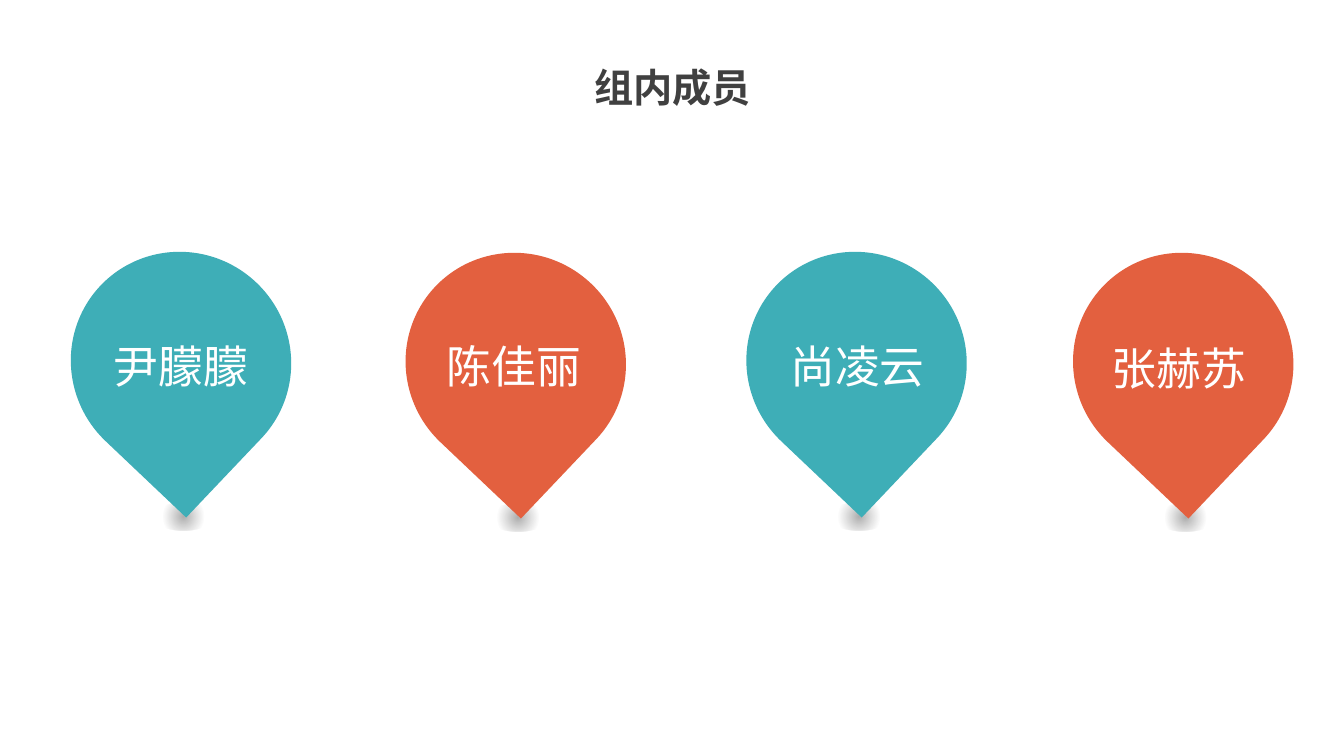
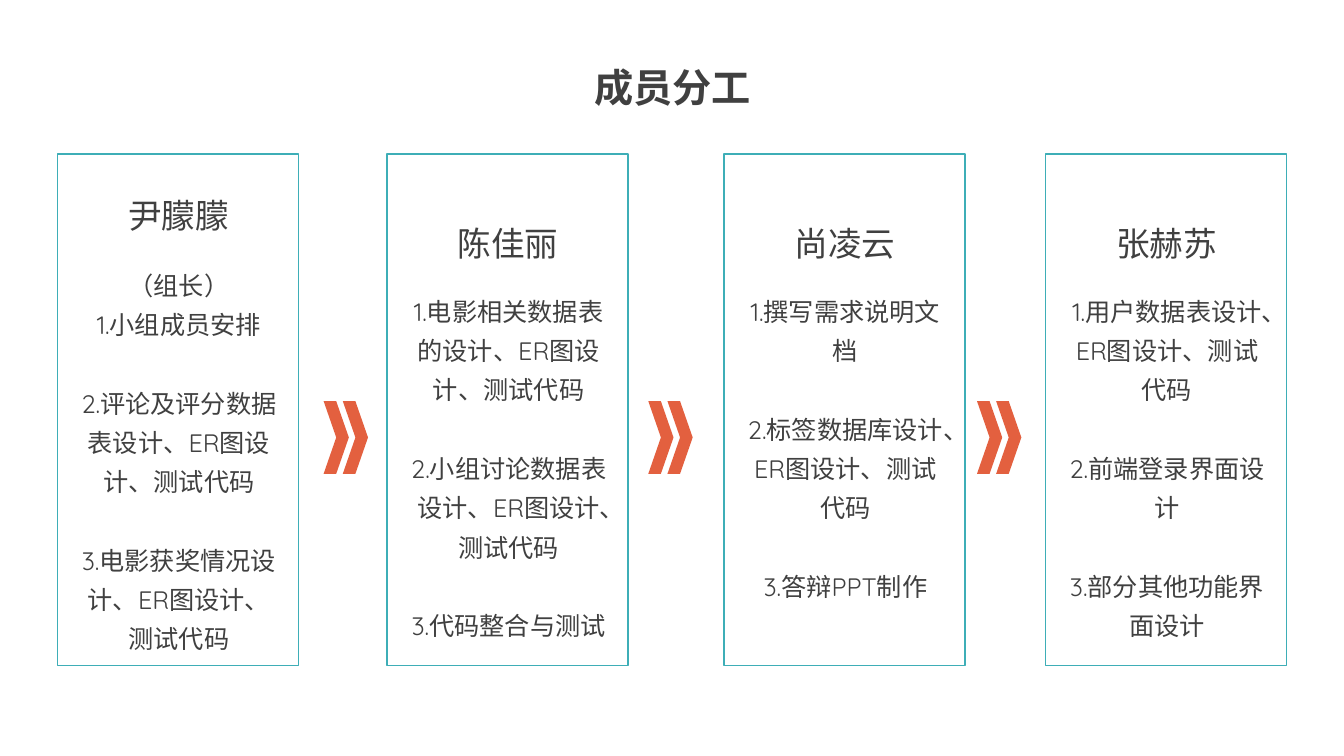
from dataclasses import dataclass

from lxml import etree
from pptx import Presentation
from pptx import util as u
from pptx.dml.color import RGBColor
from pptx.enum import lang, shapes, text
from pptx.oxml import parse_xml
from pptx.oxml.ns import nsdecls, qn

PX = 9144  # 100 px to the inch


@dataclass(frozen=True)
class Theme:
    font: str = "Quicksand"
    teal: str = "3EAEB7"
    orange: str = "E3603F"
    ink: str = "404040"
    white: str = "FFFFFF"
    title: int = 28
    pin: int = 32
    name: int = 24
    body: int = 18
    item_gap: int = 28


T = Theme()
SHADOW_FILL = f"""<a:gradFill {nsdecls("a")}><a:gsLst>
<a:gs pos="0"><a:srgbClr val="404040"><a:alpha val="43000"/></a:srgbClr></a:gs>
<a:gs pos="63000"><a:srgbClr val="595959"><a:alpha val="0"/></a:srgbClr></a:gs>
</a:gsLst><a:path path="circle">
<a:fillToRect l="50000" t="50000" r="50000" b="50000"/></a:path></a:gradFill>"""


def add_shape(s, kind, x, y, w, h, fill=None, line=None):
    sp = s.shapes.add_shape(kind, x * PX, y * PX, w * PX, h * PX)
    sp.shadow.inherit = False
    if fill:
        sp.fill.solid()
        sp.fill.fore_color.rgb = RGBColor.from_string(fill)
    else:
        sp.fill.background()
    if line:
        sp.line.color.rgb = RGBColor.from_string(line)
        sp.line.width = u.Pt(1)
    else:
        sp.line.fill.background()
    return sp


def put_text(sp, lines, size, color=T.ink, align=text.PP_ALIGN.CENTER, bold=False):
    """Fill a text box or placeholder and return its paragraphs."""
    tf = sp.text_frame
    tf.text = "\n".join(lines)
    tf.word_wrap = True
    tf.auto_size = text.MSO_AUTO_SIZE.NONE
    tf.vertical_anchor = text.MSO_ANCHOR.TOP
    for p in tf.paragraphs:
        p.alignment = align
        for r in p.runs:
            r.font.name = T.font
            r.font.size = u.Pt(size)
            r.font.bold = bold
            r.font.color.rgb = RGBColor.from_string(color)
            r.font.language_id = lang.MSO_LANGUAGE_ID.SIMPLIFIED_CHINESE
            etree.SubElement(r._r.get_or_add_rPr(), qn("a:ea"), typeface=T.font)
    return tf.paragraphs


prs = Presentation()
prs.slide_width, prs.slide_height = 1333 * PX, 750 * PX

slides = []
for heading in ("组内成员", "成员分工"):
    s = prs.slides.add_slide(prs.slide_layouts.get_by_name("Title Only"))
    title = s.shapes.title
    title.left, title.top, title.width, title.height = 515 * PX, 58 * PX, 304 * PX, 57 * PX
    put_text(title, [heading], T.title, bold=True)
    slides.append(s)
members, duties = slides

# Members: a map pin for each
PINS = [  # name, pin left, pin top, name left, name top, colour
    ("尹朦朦", 71, 249, 103, 331, T.teal),
    ("陈佳丽", 403, 250, 433, 331, T.orange),
    ("尚凌云", 741, 249, 774, 331, T.teal),
    ("张赫苏", 1065, 250, 1093, 333, T.orange),
]
for name, x, y, name_x, name_y, color in PINS:
    shadow = add_shape(members, shapes.MSO_SHAPE.OVAL, x + 81, y + 250, 60, 27)
    spPr = shadow.element.spPr
    spPr.replace(spPr.find(qn("a:noFill")), parse_xml(SHADOW_FILL))
    pin = add_shape(members, shapes.MSO_SHAPE.TEAR, x, y, 217, 220, color)
    pin.rotation = 133.5
    box = members.shapes.add_textbox(name_x * PX, name_y * PX, 186 * PX, 64 * PX)
    put_text(box, [name], T.pin, T.white, text.PP_ALIGN.LEFT)

# Duties: a framed column for each member, double chevrons between
for x in (321, 643, 969):
    for dx in (0, 19):
        add_shape(duties, shapes.MSO_SHAPE.CHEVRON, x + dx, 398, 25, 72, T.orange)

COLUMNS = [  # name, left, name top, list top, list
    ("尹朦朦", 57, 188, 254, ["（组长）", "1.小组成员安排",
                           "2.评论及评分数据表设计、ER图设计、测试代码",
                           "3.电影获奖情况设计、ER图设计、测试代码"]),
    ("陈佳丽", 384, 216, 280, ["1.电影相关数据表的设计、ER图设计、测试代码",
                            "2.小组讨论数据表设计、ER图设计、测试代码",
                            "3.代码整合与测试"]),
    ("尚凌云", 718, 216, 280, ["1.撰写需求说明文档",
                            "2.标签数据库设计、ER图设计、测试代码",
                            "3.答辩PPT制作"]),
    ("张赫苏", 1037, 216, 280, ["1.用户数据表设计、ER图设计、测试代码",
                             "2.前端登录界面设计",
                             "3.部分其他功能界面设计"]),
]
for name, x, name_y, list_y, items in COLUMNS:
    add_shape(duties, shapes.MSO_SHAPE.RECTANGLE, x, 153, 239, 507, line=T.teal)
    box = duties.shapes.add_textbox((x + 25) * PX, name_y * PX, 190 * PX, 55 * PX)
    put_text(box, [name], T.name)
    box = duties.shapes.add_textbox((x + 9) * PX, list_y * PX, 223 * PX, 400 * PX)
    for p in put_text(box, items, T.body):
        p.line_spacing = 1.3
        if not p.text.startswith(("（", "1.")):
            p.space_before = u.Pt(T.item_gap)

prs.save("out.pptx")
